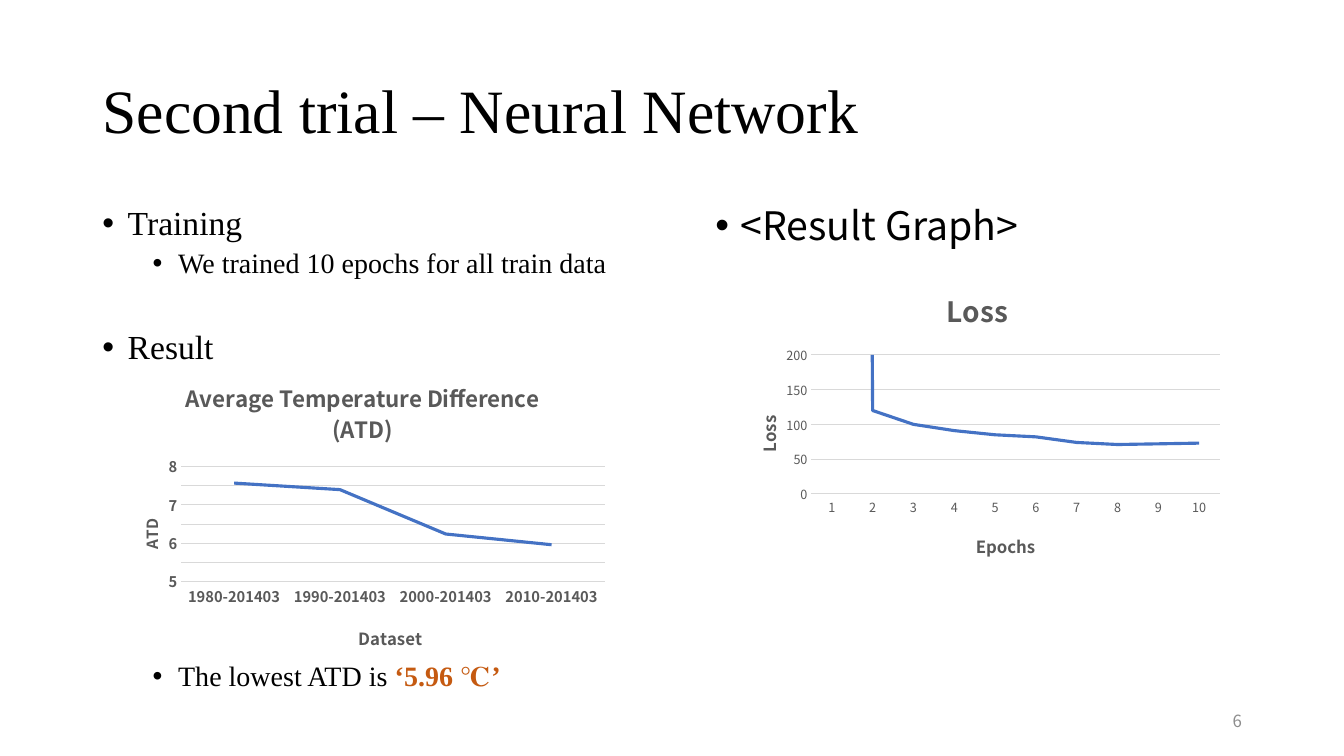
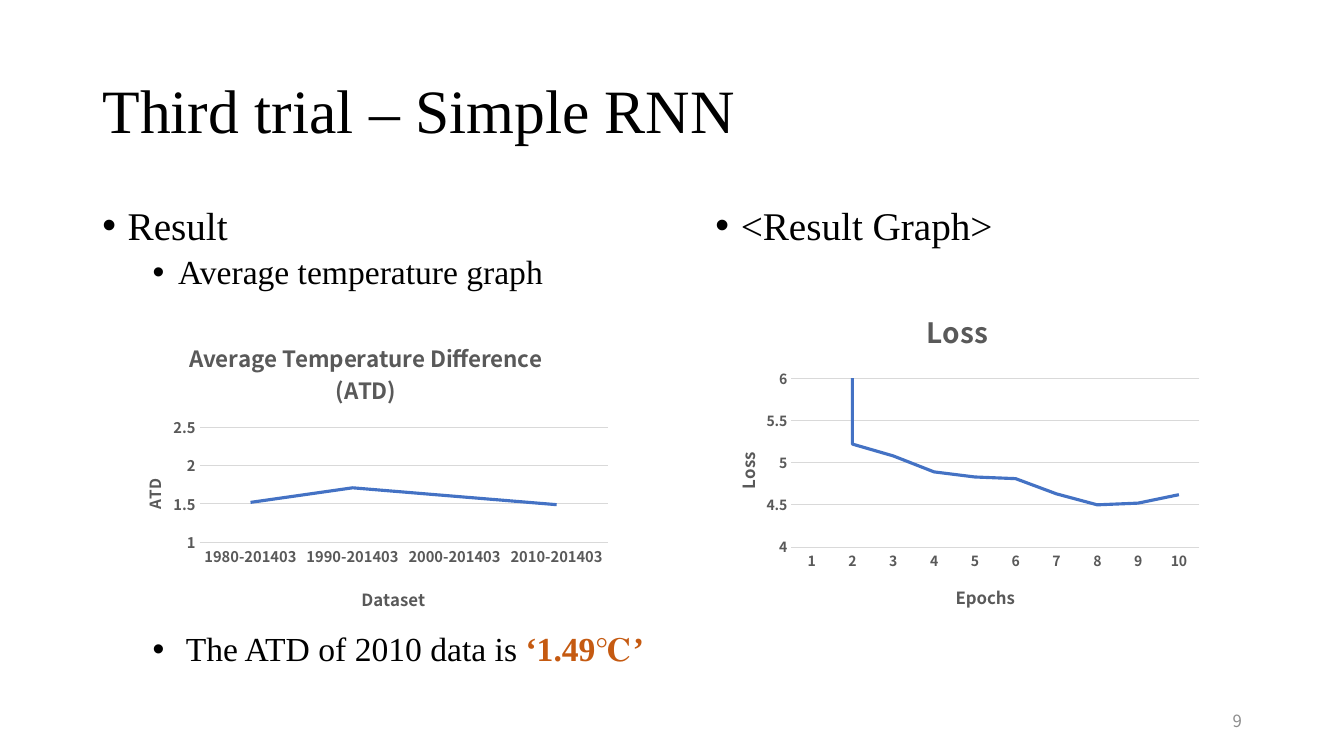
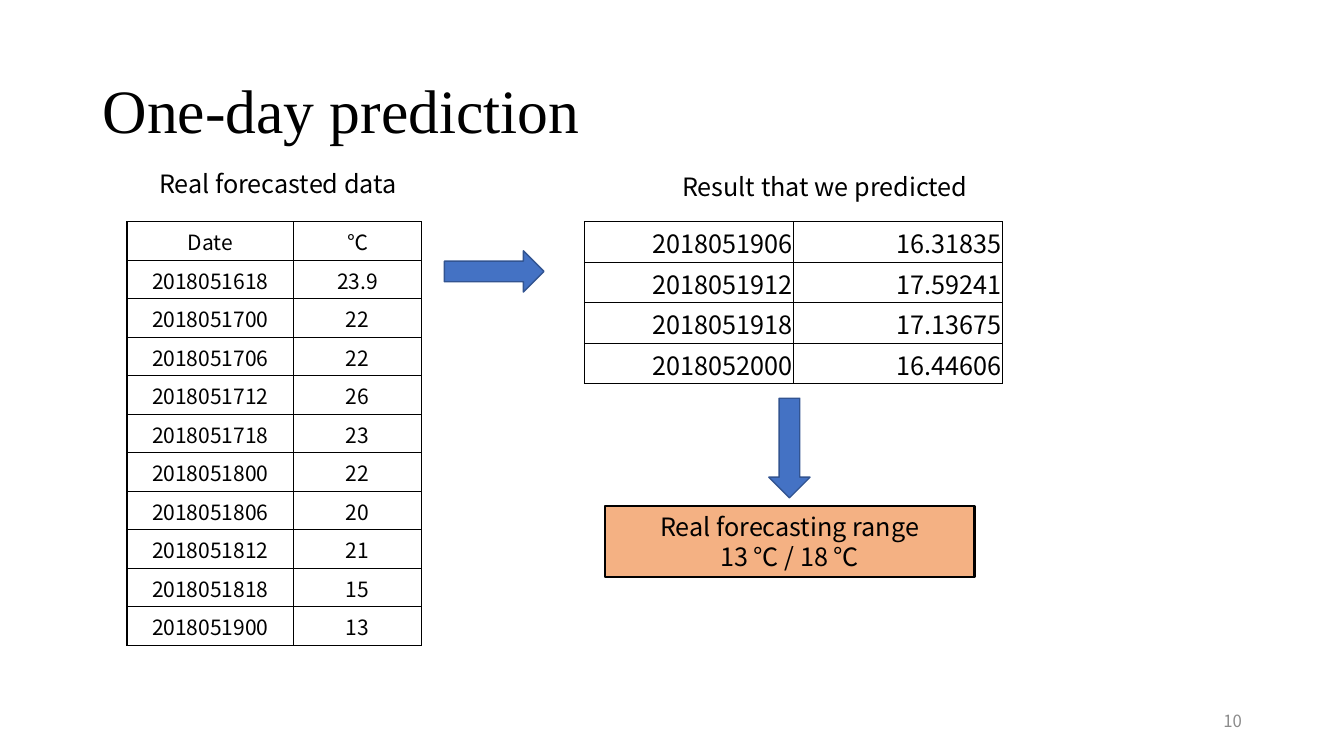
import lxml.etree
import pptx
import pptx.chart.data
import pptx.dml.color
import pptx.enum.chart
import pptx.enum.shapes
import pptx.enum.text
import pptx.oxml.ns
import pptx.util

Cm = pptx.util.Cm
Pt = pptx.util.Pt
RGBColor = pptx.dml.color.RGBColor
ALIGN = pptx.enum.text.PP_ALIGN
ANCHOR = pptx.enum.text.MSO_ANCHOR
SHAPE = pptx.enum.shapes.MSO_SHAPE
qn = pptx.oxml.ns.qn

BLACK = RGBColor(0x00, 0x00, 0x00)
WHITE = RGBColor(0xFF, 0xFF, 0xFF)
BLUE = RGBColor(0x44, 0x72, 0xC4)
DARK_BLUE = RGBColor(0x32, 0x54, 0x91)
ORANGE = RGBColor(0xF4, 0xB1, 0x83)
RUST = RGBColor(0xC5, 0x5A, 0x11)
PAGE_GRAY = RGBColor(0x8C, 0x8C, 0x8C)
CHART_GRAY = RGBColor(0x59, 0x59, 0x59)
GRID_GRAY = RGBColor(0xD9, 0xD9, 0xD9)

SERIF = "Times New Roman"
SANS = "Noto Sans CJK KR"

DATASETS = ["1980-201403", "1990-201403", "2000-201403", "2010-201403"]
EPOCHS = [str(number) for number in range(1, 11)]
ATD_TITLE = "Average Temperature Difference (ATD)"


def add_child(parent, tag, **attributes):
    return lxml.etree.SubElement(parent, qn(tag), attributes)


def style_font(font, size, color=BLACK, bold=False, name=SANS):
    font.size, font.bold, font.name = Pt(size), bold, name
    font.color.rgb = color


def write(para, text, size=18, color=BLACK, bold=False, name=SANS, align=None):
    """Add one formatted span of text to a paragraph."""
    span = para.add_run()
    span.text = text
    style_font(span.font, size, color, bold, name)
    add_child(span.font._element, "a:ea", typeface=name)
    if align is not None:
        para.alignment = align


def set_layout(element, **fractions):
    """Fix a chart part in place, as fractions of the chart."""
    for old in element.findall(qn("c:layout")):
        element.remove(old)
    layout = lxml.etree.Element(qn("c:layout"))
    manual = add_child(layout, "c:manualLayout")
    if "w" in fractions:
        add_child(manual, "c:layoutTarget", val="inner")
    for side in ("x", "y"):
        add_child(manual, f"c:{side}Mode", val="edge")
    for side, value in fractions.items():
        add_child(manual, f"c:{side}", val=str(value))
    text = element.find(qn("c:tx"))
    if text is None:
        element.insert(0, layout)
    else:
        text.addnext(layout)


class Deck:
    def __init__(self):
        self.deck = pptx.Presentation()
        self.deck.slide_width, self.deck.slide_height = Cm(33.87), Cm(19.05)
        self.page = None

    def add_page(self, title, number):
        """Start a slide with its title and page number."""
        self.page = self.deck.slides.add_slide(self.deck.slide_layouts[5])
        box = self.page.shapes.title
        box.left, box.top, box.width, box.height = Cm(2.33), Cm(1.02), Cm(29.21), Cm(3.68)
        frame = box.text_frame
        frame.auto_size = pptx.enum.text.MSO_AUTO_SIZE.NONE
        frame.vertical_anchor = ANCHOR.MIDDLE
        frame.paragraphs[0].line_spacing = 0.9
        write(frame.paragraphs[0], title, size=44, name=SERIF, align=ALIGN.LEFT)
        self.add_text(str(number), 23.93, 17.65, 7.62, 1.02, anchor=ANCHOR.MIDDLE,
                      size=12, color=PAGE_GRAY, align=ALIGN.RIGHT)

    def add_frame(self, left, top, width, height):
        box = self.page.shapes.add_textbox(Cm(left), Cm(top), Cm(width), Cm(height))
        box.text_frame.word_wrap = True
        return box.text_frame

    def add_text(self, text, left, top, width, height, anchor=ANCHOR.TOP, **style):
        frame = self.add_frame(left, top, width, height)
        frame.vertical_anchor = anchor
        write(frame.paragraphs[0], text, **style)

    def add_bullets(self, left, height, items, name=SERIF):
        """Each item is level, size, space before, text, and highlighted text."""
        frame = self.add_frame(left, 5.08, 15.44, height)
        for index, (level, size, before, text, highlight) in enumerate(items):
            para = frame.add_paragraph() if index else frame.paragraphs[0]
            para.level, para.line_spacing, para.space_before = level, 0.9, Pt(before)
            properties = para._p.get_or_add_pPr()
            properties.set("marL", str(Cm(0.64 + 1.27 * level)))
            properties.set("indent", str(-Cm(0.64)))
            add_child(properties, "a:buFont", typeface="Arial")
            add_child(properties, "a:buChar", char="•")
            write(para, text, size=size, name=name)
            if highlight:
                write(para, highlight, size=size, name=name, color=RUST, bold=True)

    def add_line_chart(self, left, top, height, title, title_size, series_name, categories,
                       values, scale, plot, category_title, value_title, label_size, label_bold):
        """An axis title is its text, size, and x and y as fractions."""
        data = pptx.chart.data.CategoryChartData()
        data.categories = categories
        data.add_series(series_name, values)
        chart = self.page.shapes.add_chart(
            pptx.enum.chart.XL_CHART_TYPE.LINE, Cm(left), Cm(top), Cm(12.7), Cm(height),
            data).chart
        style_font(chart.font, 10)
        chart.has_legend = False
        chart.has_title = True
        write(chart.chart_title.text_frame.paragraphs[0], title, size=title_size,
              color=CHART_GRAY, bold=True)
        chart.chart_title.include_in_layout = False
        chart.plots[0].vary_by_categories = False
        series = chart.plots[0].series[0]
        series.smooth = False
        series.format.line.color.rgb = BLUE
        series.format.line.width = Pt(2.25)
        set_layout(chart.element.find(".//" + qn("c:plotArea")),
                   **dict(zip("xywh", plot)))

        # Axes
        none = pptx.enum.chart.XL_TICK_MARK.NONE
        for axis, (text, size, x, y) in ((chart.category_axis, category_title),
                                         (chart.value_axis, value_title)):
            axis.major_tick_mark = axis.minor_tick_mark = none
            style_font(axis.tick_labels.font, label_size, CHART_GRAY, label_bold)
            axis.has_title = True
            write(axis.axis_title.text_frame.paragraphs[0], text, size=size,
                  color=CHART_GRAY, bold=True)
            set_layout(axis.axis_title._element, x=x, y=y)
        value_axis = chart.value_axis
        body = value_axis.axis_title._element.find(".//" + qn("a:bodyPr"))
        body.set("rot", "-5400000")
        body.set("vert", "horz")
        value_axis.minimum_scale, value_axis.maximum_scale, value_axis.major_unit = scale
        value_axis.tick_labels.number_format = "General"
        value_axis.tick_labels.number_format_is_linked = False
        value_axis.format.line.fill.background()
        for line in (chart.category_axis.format.line, value_axis.major_gridlines.format.line):
            line.color.rgb = GRID_GRAY
            line.width = Pt(0.75)

    def add_atd_chart(self, left, top, values, scale, plot):
        self.add_line_chart(left, top, 7.62, ATD_TITLE, 16, "Series 1", DATASETS, values,
                            scale, plot, ("Dataset", 12, 0.485, 0.85),
                            ("ATD", 11, 0.05, 0.5), 10.5, True)

    def add_loss_chart(self, left, top, height, values, scale, plot, label_size, label_bold):
        self.add_line_chart(left, top, height, "Loss", 20, "Loss", EPOCHS, values,
                            scale, plot, ("Epochs", 12, 0.49, 0.855),
                            ("Loss", 12, 0.05, 0.47), label_size, label_bold)

    def add_table(self, left, top, widths, row_height, rows, **style):
        table = self.page.shapes.add_table(
            len(rows), len(widths), Cm(left), Cm(top), Cm(sum(widths)),
            Cm(row_height * len(rows))).table
        table.first_row = table.horz_banding = False
        for column, width in zip(table.columns, widths):
            column.width = Cm(width)
        for row, texts in zip(table.rows, rows):
            row.height = Cm(row_height)
            for cell, text in zip(row.cells, texts):
                cell.margin_left = cell.margin_right = cell.margin_top = Cm(0.03)
                cell.margin_bottom = 0
                cell.vertical_anchor = ANCHOR.MIDDLE
                write(cell.text_frame.paragraphs[0], text, **style)
                # Borders come before the fill
                properties = cell._tc.get_or_add_tcPr()
                for side in "LRTB":
                    line = add_child(properties, f"a:ln{side}", w=str(Pt(1)))
                    add_child(add_child(line, "a:solidFill"), "a:srgbClr", val=str(BLACK))
                cell.fill.solid()
                cell.fill.fore_color.rgb = WHITE

    def add_shape(self, kind, left, top, width, height, fill, line, line_width, rotation=0):
        shape = self.page.shapes.add_shape(kind, Cm(left), Cm(top), Cm(width), Cm(height))
        shape.shadow.inherit = False
        shape.rotation = rotation
        shape.fill.solid()
        shape.fill.fore_color.rgb = fill
        shape.line.color.rgb = line
        shape.line.width = Pt(line_width)
        return shape

    def add_arrow(self, left, top, rotation=0):
        self.add_shape(SHAPE.RIGHT_ARROW, left, top, 2.51, 1.04, BLUE, DARK_BLUE, 1, rotation)


def main():
    deck = Deck()

    # Neural network
    deck.add_page("Second trial – Neural Network", 6)
    deck.add_bullets(2.33, 13.97, [
        (0, 24, 10, "Training", ""),
        (1, 20, 5, "We trained 10 epochs for all train data", ""),
        (0, 24, 36, "Result", ""),
        (1, 20, 211, "The lowest ATD is ", "‘5.96 ℃’"),
    ])
    deck.add_bullets(17.78, 5.16, [(0, 28, 10, "<Result Graph>", "")], name=SANS)
    deck.add_atd_chart(2.79, 9.17, [7.57, 7.4, 6.24, 5.96], (5, 8, 0.5),
                       (0.14, 0.34, 0.84, 0.38))
    deck.add_loss_chart(18.29, 6.81, 7.62, [9250, 120, 100, 91, 85, 82, 74, 71, 72, 73],
                        (0, 200, 50), (0.17, 0.28, 0.81, 0.46), 9, False)

    # Simple RNN
    deck.add_page("Third trial – Simple RNN", 9)
    deck.add_bullets(2.33, 13.18, [
        (0, 28, 10, "Result", ""),
        (1, 24, 5, "Average temperature graph", ""),
        (1, 24, 243, " The ATD of 2010 data is ", "‘1.49℃’"),
    ])
    deck.add_bullets(17.78, 5.16, [(0, 28, 10, "<Result Graph>", "")])
    deck.add_atd_chart(2.87, 8.18, [1.52, 1.71, 1.6, 1.49], (1, 2.5, 0.5),
                       (0.17, 0.34, 0.81, 0.38))
    deck.add_loss_chart(17.78, 7.32, 8.51,
                        [1012.86, 5.22, 5.08, 4.89, 4.83, 4.81, 4.63, 4.5, 4.52, 4.62],
                        (4, 6, 0.5), (0.17, 0.26, 0.81, 0.5), 10, True)

    # One-day prediction
    deck.add_page("One-day prediction", 10)
    deck.add_text("Real forecasted data", 3.76, 4.11, 6.83, 1.02)
    deck.add_text("Result that we predicted", 16.94, 4.19, 8.33, 1.02)
    deck.add_table(3.2, 5.59, [4.2, 3.22], 0.97, [
        ("Date", "℃"),
        ("2018051618", "23.9"),
        ("2018051700", "22"),
        ("2018051706", "22"),
        ("2018051712", "26"),
        ("2018051718", "23"),
        ("2018051800", "22"),
        ("2018051806", "20"),
        ("2018051812", "21"),
        ("2018051818", "15"),
        ("2018051900", "13"),
    ], size=15, align=ALIGN.CENTER)
    deck.add_table(14.73, 5.59, [5.27, 5.27], 1.02, [
        ("2018051906", "16.31835"),
        ("2018051912", "17.59241"),
        ("2018051918", "17.13675"),
        ("2018052000", "16.44606"),
    ], align=ALIGN.RIGHT)
    deck.add_arrow(11.2, 6.32)
    deck.add_arrow(18.64, 10.77, rotation=90)
    frame = deck.add_shape(SHAPE.RECTANGLE, 15.24, 12.75, 9.32, 1.8,
                           ORANGE, BLACK, 1.5).text_frame
    write(frame.paragraphs[0], "Real forecasting range", align=ALIGN.CENTER)
    write(frame.add_paragraph(), "13 ℃ / 18 ℃", align=ALIGN.CENTER)

    deck.deck.save("out.pptx")


if __name__ == "__main__":
    main()
